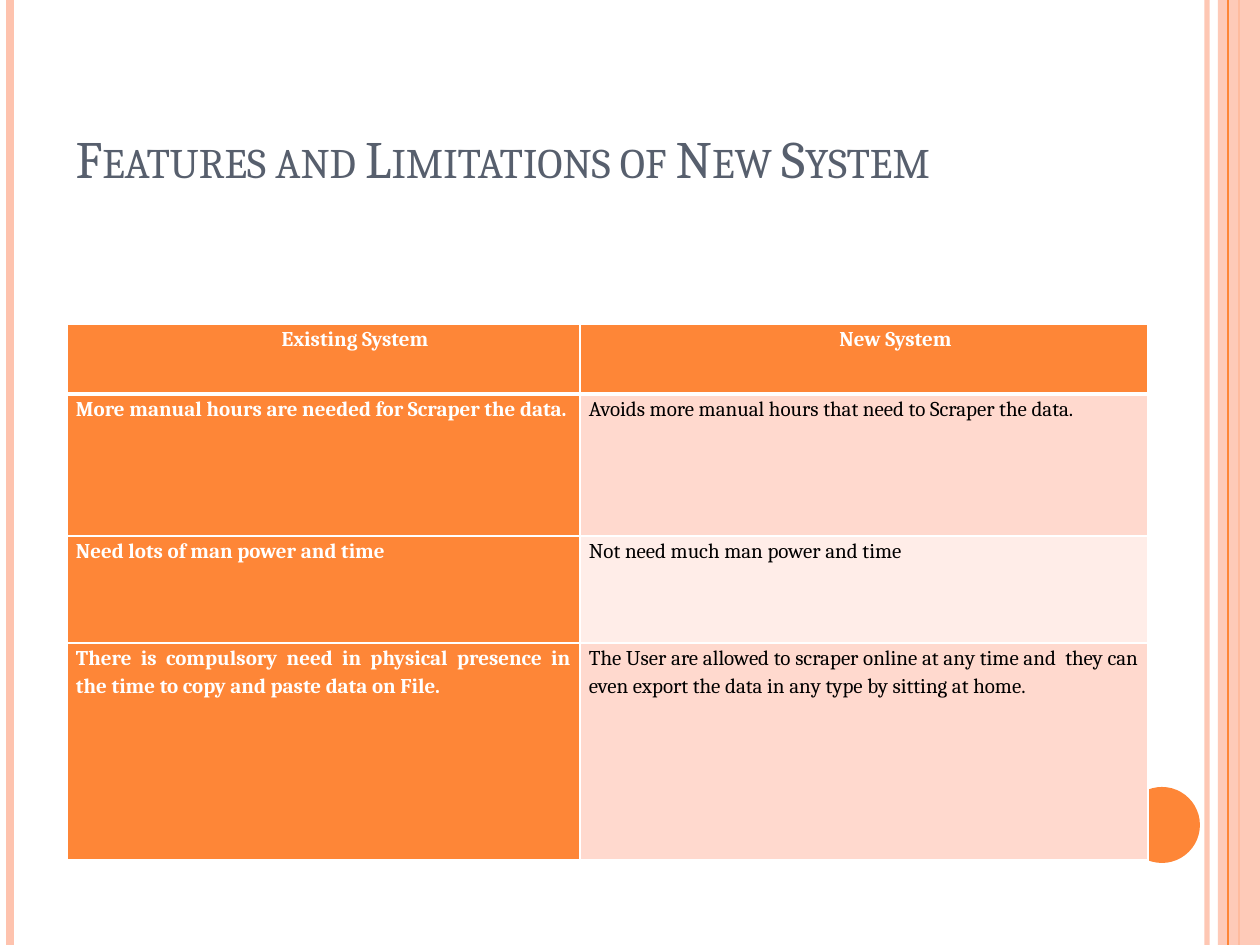
import pptx
import pptx.util
import pptx.dml.color
import pptx.enum.shapes
import pptx.enum.text
import pptx.oxml.ns
import lxml.etree

FONT = "Cambria"
ORANGE, PEACH, WHITE = "FE8637", "FEC3AE", "FFFFFF"
TINTS = ["FFD9CE", "FFEDE8"]
ROWS = [
    ("Existing System", "New System"),
    ("More manual hours are needed for Scraper the data.",
     "Avoids more manual hours that need to Scraper the data."),
    ("Need lots of man power and time",
     "Not need much man power and time"),
    ("There is compulsory need in physical presence in the time to copy and paste data on File.",
     "The User are allowed to scraper online at any time and  they can even export the data "
     "in any type by sitting at home."),
]


def px(n):
    """Turn pixels into EMU."""
    return pptx.util.Emu(round(n * 914400 / 126))


def rgb(code):
    """Turn a hex string into a colour."""
    return pptx.dml.color.RGBColor.from_string(code)


def sub(node, tag, **attrs):
    """Append a DrawingML child element."""
    return lxml.etree.SubElement(node, pptx.oxml.ns.qn(tag), **attrs)


def fade(node, pct):
    """Make the solid colour inside a node partly opaque."""
    color = next(node.iter(pptx.oxml.ns.qn("a:srgbClr")))
    sub(color, "a:alpha", val=str(pct * 1000))


def rule(slide, x, high, color, width, pct=100):
    """Draw one full-height line."""
    kind = pptx.enum.shapes.MSO_CONNECTOR.STRAIGHT
    line = slide.shapes.add_connector(kind, px(x), 0, px(x), px(high))
    line.line.color.rgb = rgb(color)
    line.line.width = pptx.util.Pt(width)
    sub(line._element.spPr, "a:effectLst")
    if pct < 100:
        fade(line._element.spPr, pct)


def solid(slide, kind, box, color):
    """Draw a plain filled shape without an outline."""
    shape = slide.shapes.add_shape(kind, *map(px, box))
    shape.shadow.inherit = False
    shape.fill.solid()
    shape.fill.fore_color.rgb = rgb(color)
    shape.line.fill.background()
    return shape


def frame(slide, box):
    """Draw the side stripes, the band and the disc."""
    left, top, wide, high = box
    kinds = pptx.enum.shapes.MSO_SHAPE
    right = left + wide
    rule(slide, right - 53, high, PEACH, 3, 93)
    rule(slide, left + 10, high, PEACH, 4.5)
    rule(slide, right - 21, high, ORANGE, 1.5)
    band = solid(slide, kinds.RECTANGLE, (right - 42, top, 42, high), PEACH)
    fade(band._element.spPr, 87)
    rule(slide, right - 32, high, ORANGE, 0.75)
    solid(slide, kinds.OVAL, (right - 136, top + 787, 76, 76), ORANGE)


def title(slide, box, text):
    """Place the small-caps title."""
    shape = slide.shapes.title
    shape.left, shape.top, shape.width, shape.height = map(px, box)
    body = shape.text_frame
    body.word_wrap = True
    body.auto_size = pptx.enum.text.MSO_AUTO_SIZE.NONE
    body.vertical_anchor = pptx.enum.text.MSO_ANCHOR.BOTTOM
    para = body.paragraphs[0]
    para.alignment = pptx.enum.text.PP_ALIGN.LEFT
    run = para.add_run()
    run.text = text
    run.font.name = FONT
    run.font.size = pptx.util.Pt(30)
    run.font.color.rgb = rgb("575F6D")
    run._r.get_or_add_rPr().set("cap", "small")


def edge(cell, side, width):
    """Add one white border to a cell."""
    props = cell._tc.get_or_add_tcPr()
    line = sub(props, f"a:ln{side}", w=str(pptx.util.Pt(width)))
    sub(sub(line, "a:solidFill"), "a:srgbClr", val=WHITE)


def fill(cell, text, row, col):
    """Write and style one table cell."""
    head = row == 0
    strong = head or col == 0
    cell.margin_left = cell.margin_right = px(9)
    cell.margin_top = cell.margin_bottom = 0
    for side in "LRTB":
        thick = (head and side == "B") or (row == 1 and side == "T")
        edge(cell, side, 3 if thick else 1)
    cell.fill.solid()
    cell.fill.fore_color.rgb = rgb(ORANGE if strong else TINTS[(row - 1) % 2])
    cell.text = text
    para = cell.text_frame.paragraphs[0]
    align = pptx.enum.text.PP_ALIGN
    para.alignment = align.CENTER if head else align.JUSTIFY
    if head:
        para._p.get_or_add_pPr().set("marL", str(px(63)))
    para.line_spacing = 1.15
    para.space_after = pptx.util.Pt(0 if head and col == 0 else 10)
    para.font.name = FONT
    para.font.size = pptx.util.Pt(12)
    para.font.bold = strong
    para.font.color.rgb = rgb(WHITE if strong else "000000")


def grid(slide, box, wides, highs):
    """Place the table that compares both systems."""
    shape = slide.shapes.add_table(len(highs), len(wides), *map(px, box))
    table = shape.table
    for col, wide in zip(table.columns, wides):
        col.width = px(wide)
    for row, high in zip(table.rows, highs):
        row.height = px(high)
    for i, texts in enumerate(ROWS):
        for j, text in enumerate(texts):
            fill(table.cell(i, j), text, i, j)


def main():
    """Build and save the slide."""
    deck = pptx.Presentation()
    deck.slide_width, deck.slide_height = px(1260), px(945)
    slide = deck.slides.add_slide(deck.slide_layouts[5])
    frame(slide, (0, 0, 1260, 945))
    title(slide, (63, 38, 1029, 157), "Features and Limitations of New System")
    grid(slide, (67, 324, 1081, 536), [513, 568], [70, 142, 107, 217])
    deck.save("out.pptx")


if __name__ == "__main__":
    main()
